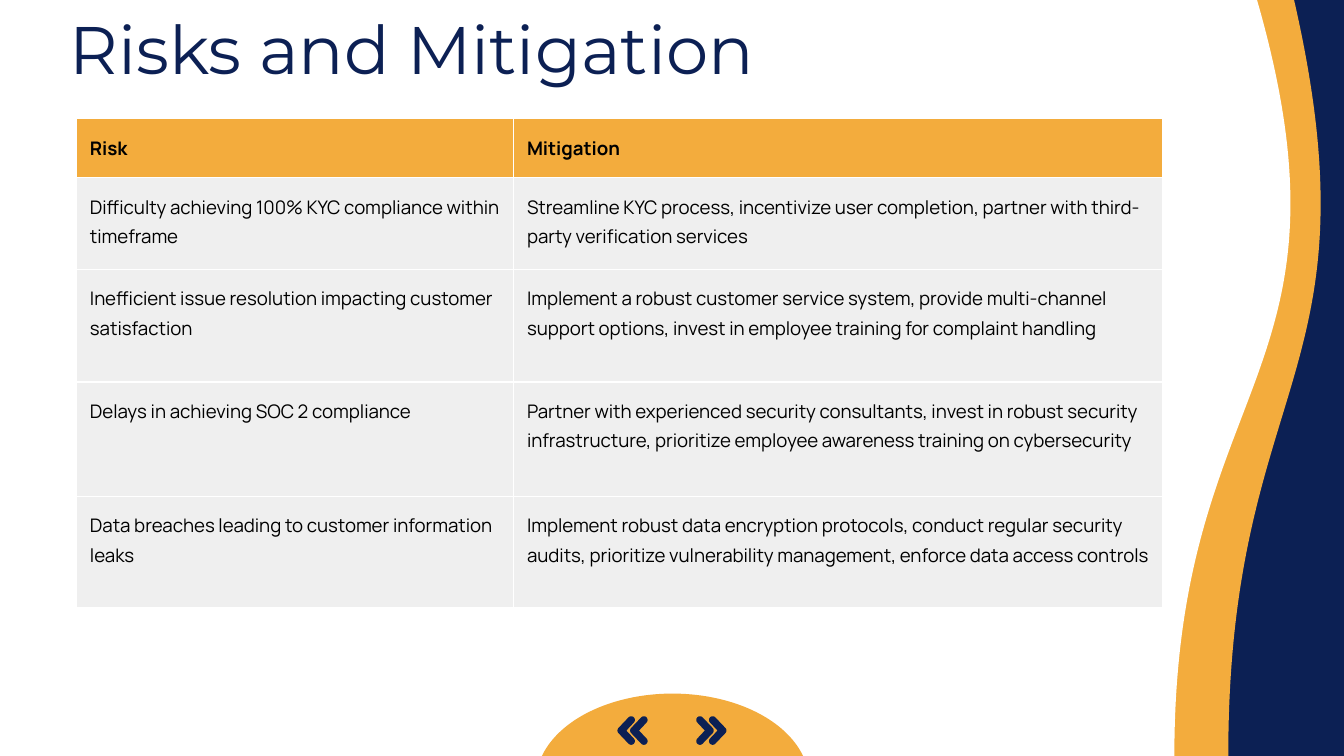
from dataclasses import dataclass
from math import cos, radians, sin, sqrt

from lxml.etree import SubElement
from pptx import Presentation
from pptx.dml.color import RGBColor
from pptx.enum.shapes import MSO_SHAPE
from pptx.enum.text import MSO_ANCHOR, MSO_AUTO_SIZE, PP_ALIGN
from pptx.oxml.ns import qn
from pptx.util import Cm, Pt


@dataclass(frozen=True)
class Theme:
    navy: str = "0C2054"
    orange: str = "F3AC3D"
    white: str = "FFFFFF"
    grey: str = "EFEFEF"
    black: str = "000000"
    title_font: str = "Montserrat"
    body_font: str = "Manrope"
    title_size: int = 36
    body_size: int = 10
    border: float = 0.75


THEME = Theme()
WIDTH, HEIGHT = 25.4, 14.29
INSET = Cm(0.25)

ROWS = [
    ("Risk", "Mitigation"),
    ("Difficulty achieving 100% KYC compliance within timeframe",
     "Streamline KYC process, incentivize user completion, partner with "
     "third-party verification services"),
    ("Inefficient issue resolution impacting customer satisfaction",
     "Implement a robust customer service system, provide multi-channel "
     "support options, invest in employee training for complaint handling"),
    ("Delays in achieving SOC 2 compliance",
     "Partner with experienced security consultants, invest in robust security "
     "infrastructure, prioritize employee awareness training on cybersecurity"),
    ("Data breaches leading to customer information leaks",
     "Implement robust data encryption protocols, conduct regular security "
     "audits, prioritize vulnerability management, enforce data access controls"),
]
COL_WIDTHS = [8.26, 12.27]
ROW_HEIGHTS = [1.12, 1.73, 2.13, 2.16, 2.11]


def paint(sp, color):
    sp.shadow.inherit = False
    sp.fill.solid()
    sp.fill.fore_color.rgb = RGBColor.from_string(color)
    sp.line.fill.background()


def add_flipped(s, kind, left, top, width, height, rotation, color):
    sp = s.shapes.add_shape(kind, Cm(left), Cm(top), Cm(width), Cm(height))
    sp.rotation = rotation
    sp._element.spPr.find(qn("a:xfrm")).set("flipH", "1")
    paint(sp, color)
    return sp


def add_wave(s, left, right, color):
    depth = right - left
    add_flipped(s, MSO_SHAPE.FLOWCHART_DOCUMENT, (left + right - HEIGHT) / 2,
                (HEIGHT - depth) / 2, HEIGHT, depth, 270, color)


def style_paragraph(p, font, size, color, bold=False):
    p.alignment = PP_ALIGN.LEFT
    p.font.name = font
    p.font.size = Pt(size)
    p.font.bold = bold
    p.font.color.rgb = RGBColor.from_string(color)


def add_title(s, text):
    sp = s.shapes.title
    s.shapes._spTree.append(sp._element)
    sp.left, sp.top, sp.width, sp.height = Cm(1.07), Cm(0.23), Cm(21.41), Cm(1.35)
    tf = sp.text_frame
    tf.text = text
    tf.auto_size = MSO_AUTO_SIZE.NONE
    tf.vertical_anchor = MSO_ANCHOR.MIDDLE
    tf.margin_left = tf.margin_right = tf.margin_top = tf.margin_bottom = INSET
    style_paragraph(tf.paragraphs[0], THEME.title_font, THEME.title_size, THEME.navy)


def arc(cx, cy, r, start, end):
    return [(cx + r * cos(radians(a)), cy + r * sin(radians(a)))
            for a in range(start, end + 1, 15)]


def add_chevron(group, side, offset):
    r, width, height, top = 0.07, 0.33, 0.54, 13.54
    tip, middle = width - r, height / 2
    outline = (arc(r, r, r, 135, 315) + arc(tip, middle, r, -45, 45)
               + arc(r, height - r, r, 45, 225) + [(tip - r * sqrt(2), middle)])
    points = [(Cm(WIDTH / 2 + side * (offset + x)), Cm(top + y)) for x, y in outline]
    builder = group.shapes.build_freeform(*points[0])
    builder.add_line_segments(points[1:], close=True)
    paint(builder.convert_to_shape(), THEME.navy)


def add_navigation(s):
    sp = add_flipped(s, MSO_SHAPE.PIE, 10.13, 13.11, 5.16, 3.33, 180, THEME.orange)
    sp.adjustments[0], sp.adjustments[1] = 0, 108
    for side in (1, -1):
        group = s.shapes.add_group_shape()
        for offset in (0.46, 0.7):
            add_chevron(group, side, offset)


def add_borders(cell):
    tcPr = cell._tc.get_or_add_tcPr()
    for i, edge in enumerate(("a:lnL", "a:lnR", "a:lnT", "a:lnB")):
        ln = SubElement(tcPr, qn(edge), w=str(Pt(THEME.border)))
        SubElement(SubElement(ln, qn("a:solidFill")), qn("a:srgbClr"), val=THEME.white)
        tcPr.insert(i, ln)


def fill_cell(cell, text, header):
    cell.text = text
    cell.margin_left = cell.margin_right = cell.margin_top = cell.margin_bottom = INSET
    cell.fill.solid()
    cell.fill.fore_color.rgb = RGBColor.from_string(THEME.orange if header else THEME.grey)
    add_borders(cell)
    p = cell.text_frame.paragraphs[0]
    p.line_spacing = 1.15
    style_paragraph(p, THEME.body_font, THEME.body_size, THEME.black, header)


def add_risk_table(s):
    table = s.shapes.add_table(len(ROWS), len(COL_WIDTHS), Cm(1.45), Cm(2.24),
                               Cm(sum(COL_WIDTHS)), Cm(sum(ROW_HEIGHTS))).table
    table.horz_banding = False
    for col, width in zip(table.columns, COL_WIDTHS):
        col.width = Cm(width)
    for i, (row, height, texts) in enumerate(zip(table.rows, ROW_HEIGHTS, ROWS)):
        row.height = Cm(height)
        for cell, text in zip(row.cells, texts):
            fill_cell(cell, text, i == 0)


def main():
    prs = Presentation()
    prs.slide_width, prs.slide_height = Cm(WIDTH), Cm(HEIGHT)
    s = prs.slides.add_slide(prs.slide_layouts[5])
    s.background.fill.solid()
    s.background.fill.fore_color.rgb = RGBColor.from_string(THEME.navy)
    add_wave(s, 15.66, 25.08, THEME.orange)
    add_wave(s, 0, 19, THEME.white)
    add_wave(s, 12.7, 24.54, THEME.white)
    add_title(s, "Risks and Mitigation")
    add_navigation(s)
    add_risk_table(s)
    prs.save("out.pptx")


if __name__ == "__main__":
    main()
